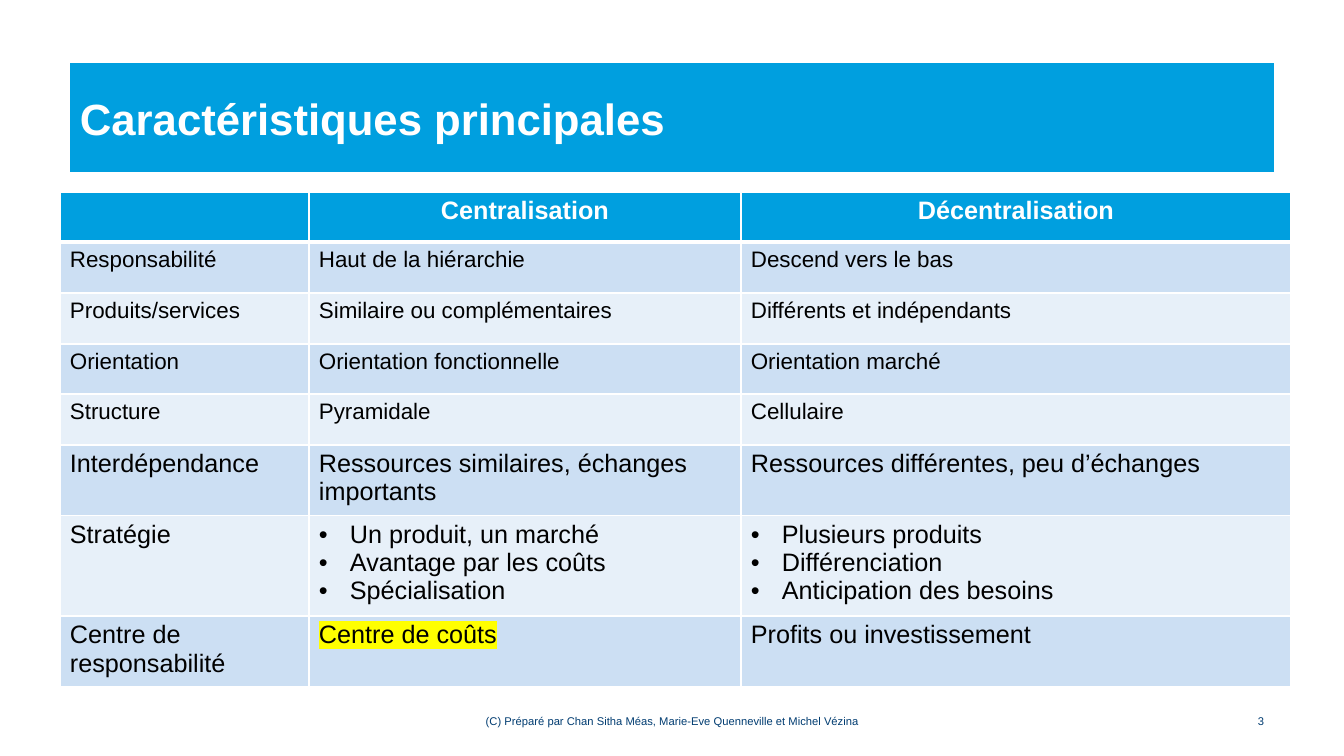
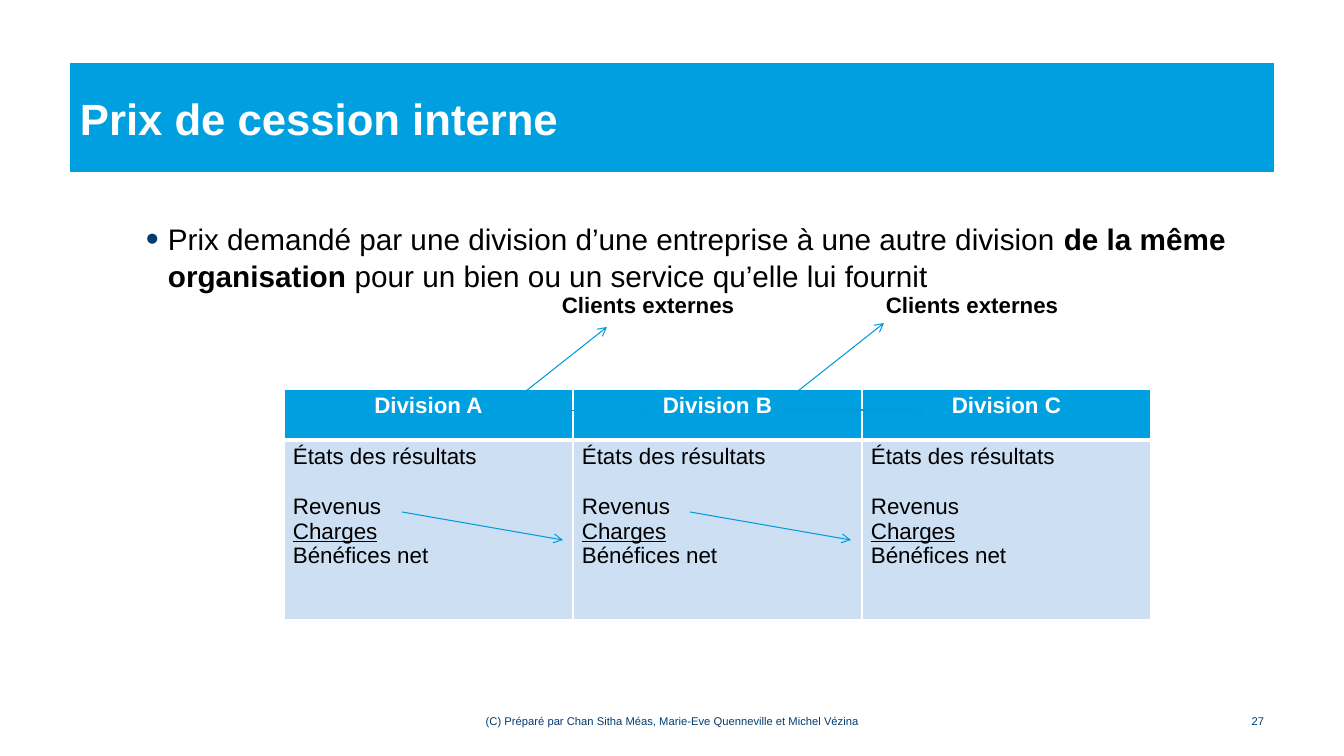
"""Build two slides on decentralisation and internal transfer prices."""
from dataclasses import dataclass, field
from typing import Any

from lxml.etree import SubElement
from pptx import Presentation
from pptx.dml.color import RGBColor
from pptx.enum.shapes import MSO_CONNECTOR as Connector, MSO_SHAPE as Preset
from pptx.enum.text import MSO_ANCHOR as Anchor, PP_ALIGN as Align
from pptx.oxml import parse_xml
from pptx.oxml.ns import nsdecls, qn
from pptx.slide import Slide
from pptx.util import Emu, Pt

EMU_PER_PX = 914400 / 100.8
FONT = "Arial"
BLUE, ARROW_BLUE, NAVY = "009FDF", "009BDA", "003C71"
WHITE, BLACK, YELLOW = "FFFFFF", "000000", "FFFF00"
BANDS = ("CCDFF3", "E7F0F9")
CREDIT = "(C) Préparé par Chan Sitha Méas, Marie-Eve Quenneville et Michel Vézina"


@dataclass(frozen=True)
class Style:
    size: float
    color: str = BLACK
    bold: bool = False


@dataclass(frozen=True)
class Run:
    text: str
    font: dict[str, Any] = field(default_factory=dict)
    highlight: str = ""


@dataclass(frozen=True)
class Bullet:
    indent: int
    color: str = ""
    percent: int = 100


@dataclass(frozen=True)
class Para:
    runs: tuple[Run, ...]
    layout: dict[str, Any] = field(default_factory=dict)
    bullet: Bullet | None = None


@dataclass(frozen=True)
class Box:
    left: int
    top: int
    width: int
    height: int

    def emu(self) -> tuple[Emu, ...]:
        return tuple(map(px, (self.left, self.top, self.width, self.height)))


@dataclass(frozen=True)
class Arrow:
    x1: int
    y1: int
    x2: int
    y2: int


@dataclass(frozen=True)
class Grid:
    left: int
    top: int
    columns: tuple[int, ...]
    rows: tuple[int, ...]
    insets: tuple[int, int]
    header: Style
    body: tuple[Style, ...]


def px(length: float) -> Emu:
    return Emu(round(length * EMU_PER_PX))


def rgb(color: str) -> RGBColor:
    return RGBColor.from_string(color)


def assign(target: Any, values: dict[str, Any]) -> None:
    for name, value in values.items():
        setattr(target, name, value)


def line_of(text: str, **layout: Any) -> Para:
    return Para((Run(text),), layout)


def bullets(*texts: str) -> list[Para]:
    return [Para((Run(text),), bullet=Bullet(31)) for text in texts]


def add_bullet(paragraph: Any, bullet: Bullet) -> None:
    props = paragraph._p.get_or_add_pPr()
    props.set("marL", str(px(bullet.indent)))
    props.set("indent", str(px(-bullet.indent)))
    if bullet.color:
        SubElement(SubElement(props, qn("a:buClr")), qn("a:srgbClr"), val=bullet.color)
    SubElement(props, qn("a:buSzPct"), val=str(bullet.percent * 1000))
    SubElement(props, qn("a:buFont"), typeface=FONT)
    SubElement(props, qn("a:buChar"), char="•")


def write(frame: Any, paras: list[Para], style: Style) -> None:
    for index, para in enumerate(paras):
        paragraph = frame.add_paragraph() if index else frame.paragraphs[0]
        if para.bullet:
            add_bullet(paragraph, para.bullet)
        assign(paragraph, para.layout)
        for part in para.runs:
            run = paragraph.add_run()
            run.text = part.text
            assign(run.font, {"name": FONT, "size": Pt(style.size), "bold": style.bold} | part.font)
            run.font.color.rgb = rgb(style.color)
            if part.highlight:
                run.font._element.find(qn("a:solidFill")).addnext(parse_xml(
                    f'<a:highlight {nsdecls("a")}><a:srgbClr val="{part.highlight}"/></a:highlight>'))


def add_text(slide: Slide, box: Box, paras: list[Para], style: Style, **frame_format: Any) -> None:
    frame = slide.shapes.add_textbox(*box.emu()).text_frame
    assign(frame, {"word_wrap": True} | frame_format)
    write(frame, paras, style)


def add_frame(slide: Slide, title: str, number: int) -> None:
    band = slide.shapes.add_shape(Preset.RECTANGLE, *Box(70, 63, 1204, 109).emu())
    band.shadow.inherit = False
    band.fill.solid()
    band.fill.fore_color.rgb = rgb(BLUE)
    band.line.fill.background()
    assign(band.text_frame, {"word_wrap": True, "vertical_anchor": Anchor.MIDDLE})
    write(band.text_frame, [line_of(title, alignment=Align.LEFT)], Style(31.2, WHITE, True))
    for box, text, alignment in (
        (Box(460, 712, 425, 18), CREDIT, Align.CENTER),
        (Box(1205, 712, 69, 18), str(number), Align.RIGHT),
    ):
        add_text(slide, box, [line_of(text, alignment=alignment)], Style(8, NAVY),
                 vertical_anchor=Anchor.MIDDLE, margin_top=0, margin_bottom=0)


def add_borders(cell: Any, bottom: int) -> None:
    props = cell._tc.get_or_add_tcPr()
    for index, (side, points) in enumerate({"L": 1, "R": 1, "T": 1, "B": bottom}.items()):
        props.insert(index, parse_xml(
            f'<a:ln{side} {nsdecls("a")} w="{Pt(points)}"><a:solidFill>'
            f'<a:srgbClr val="{WHITE}"/></a:solidFill></a:ln{side}>'))


def add_grid(slide: Slide, grid: Grid, headings: list[str], body: list[list[list[Para]]]) -> None:
    box = Box(grid.left, grid.top, sum(grid.columns), sum(grid.rows))
    table = slide.shapes.add_table(len(grid.rows), len(grid.columns), *box.emu()).table
    for column, width in zip(table.columns, grid.columns):
        column.width = px(width)
    header = [[line_of(text, alignment=Align.CENTER)] if text else [] for text in headings]
    side, edge = map(px, grid.insets)
    margins = {"margin_left": side, "margin_right": side, "margin_top": edge, "margin_bottom": edge}
    for r, (height, contents) in enumerate(zip(grid.rows, [header, *body])):
        table.rows[r].height = px(height)
        for c, paras in enumerate(contents):
            cell = table.cell(r, c)
            assign(cell, margins)
            cell.fill.solid()
            cell.fill.fore_color.rgb = rgb(BANDS[(r - 1) % 2] if r else BLUE)
            add_borders(cell, 1 if r else 3)
            write(cell.text_frame, paras, grid.body[r - 1] if r else grid.header)


def add_arrow(slide: Slide, arrow: Arrow) -> None:
    ends = map(px, (arrow.x1, arrow.y1, arrow.x2, arrow.y2))
    connector = slide.shapes.add_connector(Connector.STRAIGHT, *ends)
    connector.line.color.rgb = rgb(ARROW_BLUE)
    connector.line.width = Pt(0.75)
    SubElement(connector.line._get_or_add_ln(), qn("a:tailEnd"), type="arrow")
    SubElement(connector._element.spPr, qn("a:effectLst"))


def build_comparison(slide: Slide) -> None:
    add_frame(slide, "Caractéristiques principales", 3)
    traits = [
        ("Responsabilité", "Haut de la hiérarchie", "Descend vers le bas"),
        ("Produits/services", "Similaire ou complémentaires", "Différents et indépendants"),
        ("Orientation", "Orientation fonctionnelle", "Orientation marché"),
        ("Structure", "Pyramidale", "Cellulaire"),
        ("Interdépendance", "Ressources similaires, échanges importants",
         "Ressources différentes, peu d’échanges"),
    ]
    body = [[[line_of(text)] for text in trait] for trait in traits]
    body.append([
        [line_of("Stratégie")],
        bullets("Un produit, un marché", "Avantage par les coûts", "Spécialisation"),
        bullets("Plusieurs produits", "Différenciation", "Anticipation des besoins"),
    ])
    body.append([
        [line_of("Centre de responsabilité")],
        [Para((Run("Centre de coûts", highlight=YELLOW),))],
        [line_of("Profits ou investissement")],
    ])
    grid = Grid(60, 192, (249, 432, 550), (50, 51, 51, 50, 51, 66, 94, 67), (10, 5),
                Style(18, WHITE, True), (Style(16),) * 4 + (Style(18),) * 3)
    add_grid(slide, grid, ["", "Centralisation", "Décentralisation"], body)


def build_transfer_price(slide: Slide) -> None:
    add_frame(slide, "Prix de cession interne", 27)
    definition = Para((
        Run("Prix demandé par une division d’une entreprise à une autre division "),
        Run("de la même organisation ", {"bold": True}),
        Run("pour un bien ou un service qu’elle lui fournit"),
    ), {"line_spacing": 1.05}, Bullet(22, NAVY, 125))
    add_text(slide, Box(136, 214, 1149, 467), [definition], Style(21.2))
    statement = [
        line_of("États des résultats"),
        line_of("Revenus", space_before=Pt(18)),
        Para((Run("Charges", {"underline": True}),)),
        line_of("Bénéfices net"),
    ]
    grid = Grid(284, 389, (289,) * 3, (51, 180), (9, 4), Style(16, WHITE, True), (Style(16),))
    add_grid(slide, grid, [f"Division {letter}" for letter in "ABC"], [[statement] * 3])
    for left in (552, 876):
        add_text(slide, Box(left, 286, 245, 37), [line_of("Clients externes")],
                 Style(15.9, BLACK, True))
    for arrow in (
        Arrow(402, 512, 563, 540), Arrow(690, 512, 851, 540),
        Arrow(502, 410, 607, 327), Arrow(779, 406, 884, 323),
        Arrow(502, 411, 647, 411), Arrow(779, 410, 924, 410),
    ):
        add_arrow(slide, arrow)


def main() -> None:
    deck = Presentation()
    assign(deck, {"slide_width": px(1344), "slide_height": px(756)})
    for build in (build_comparison, build_transfer_price):
        build(deck.slides.add_slide(deck.slide_layouts[6]))
    deck.save("out.pptx")


if __name__ == "__main__":
    main()
